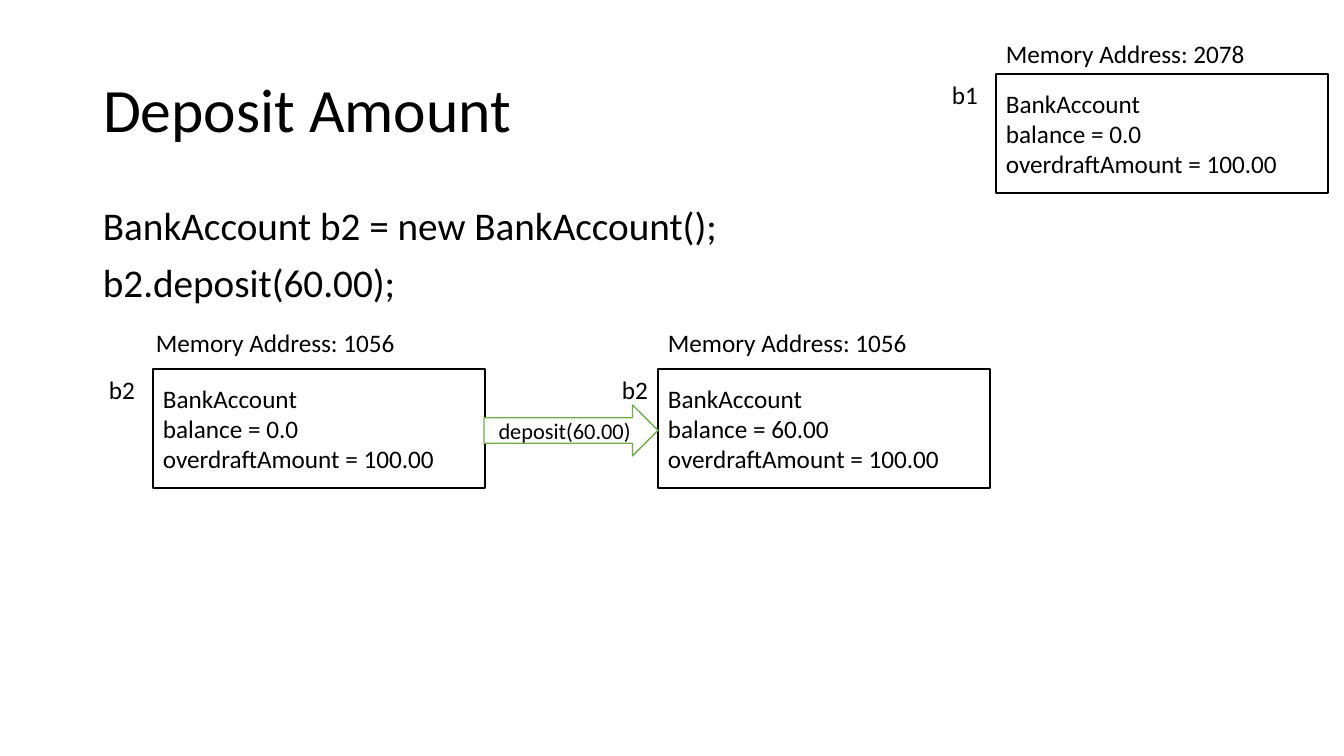
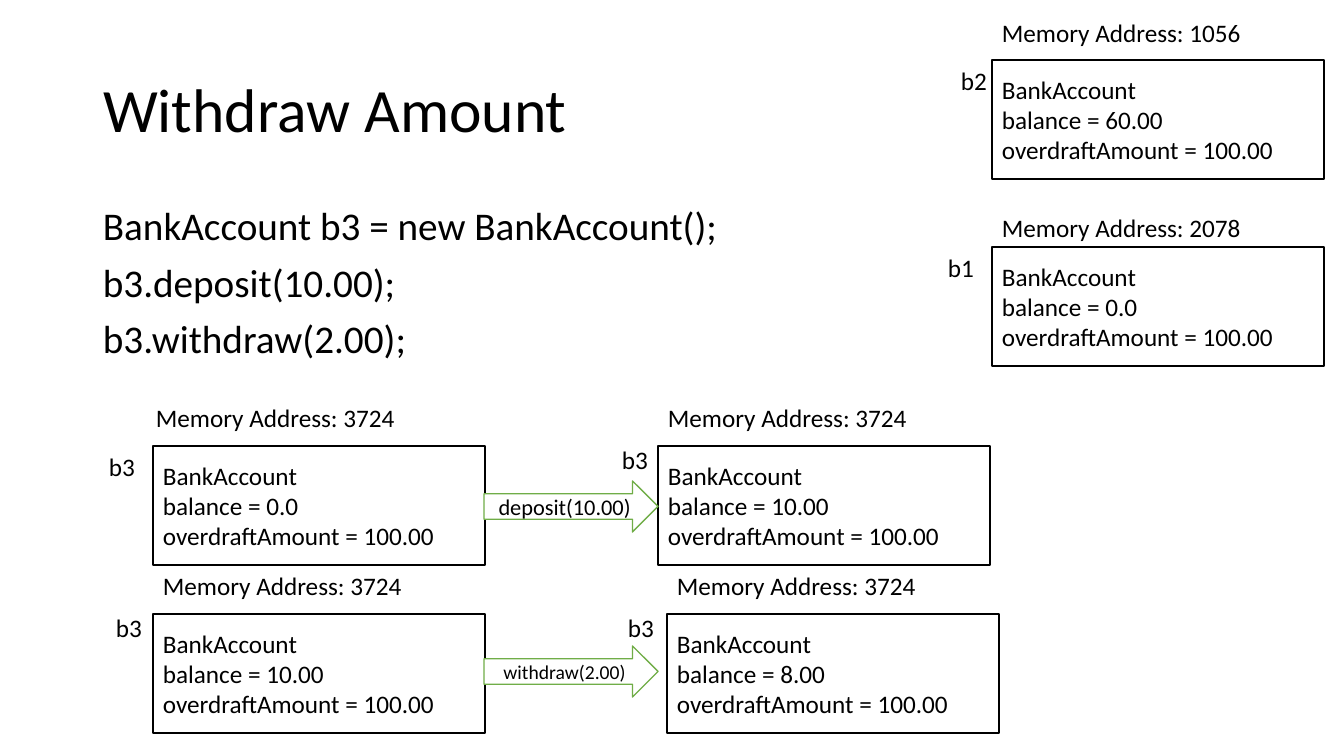
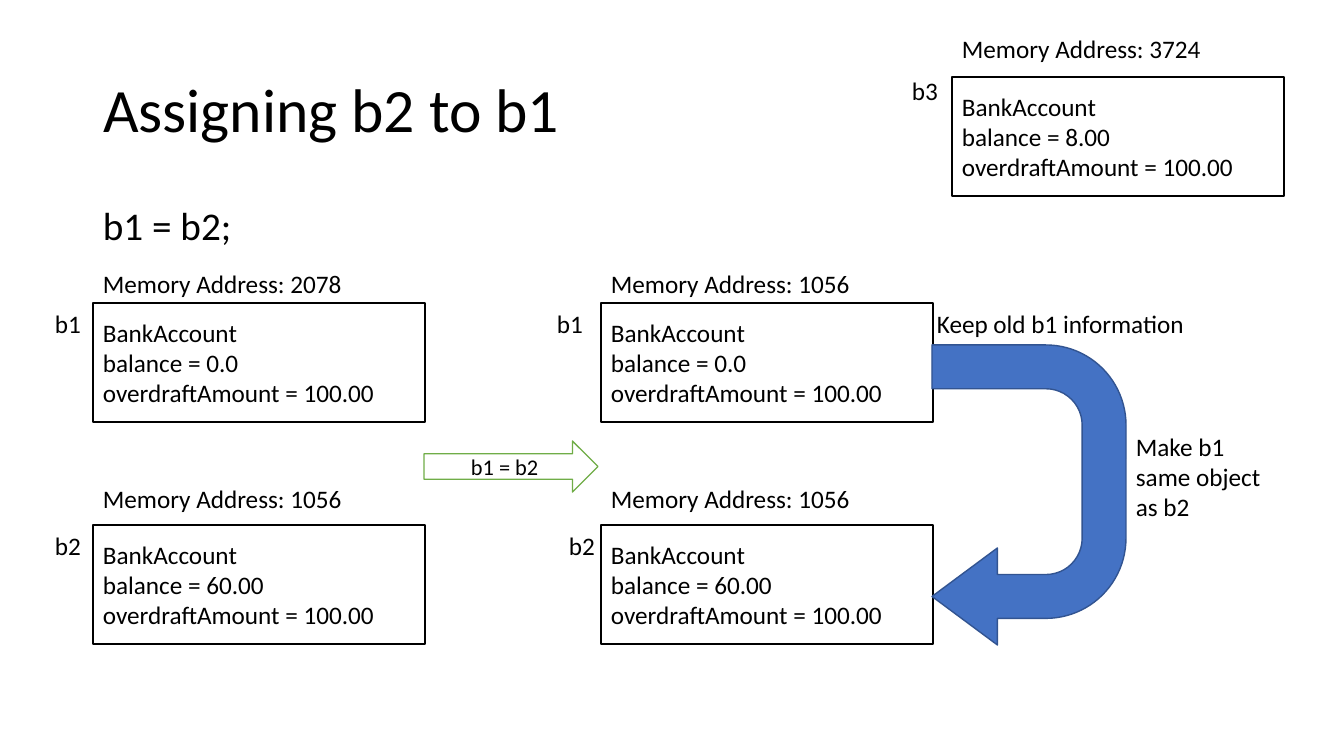
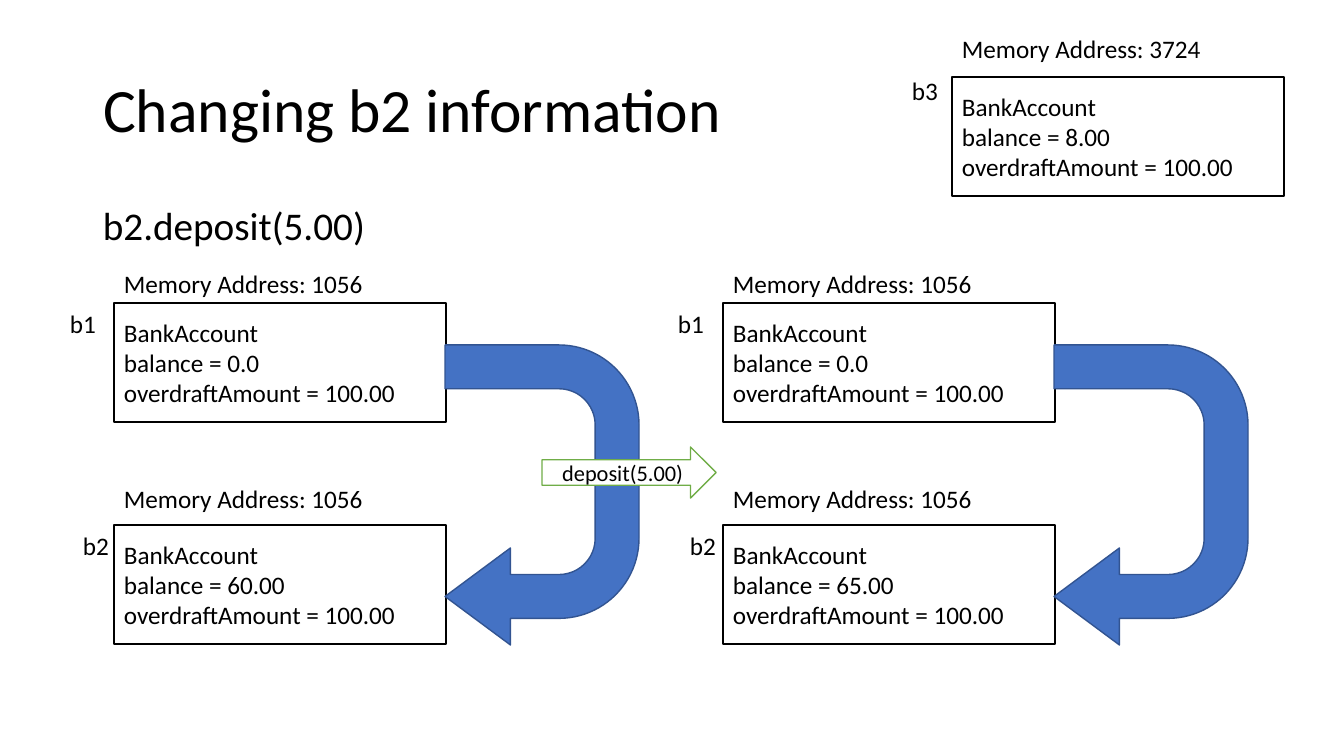
from pptx import Presentation
from pptx import util as u
from pptx.dml.color import RGBColor
from pptx.enum import shapes, text

BLACK = RGBColor(0x00, 0x00, 0x00)
WHITE = RGBColor(0xFF, 0xFF, 0xFF)
GREEN = RGBColor(0x70, 0xAD, 0x47)
BLUE = RGBColor(0x44, 0x72, 0xC4)
NAVY = RGBColor(0x32, 0x54, 0x91)
FONT = "Calibri"
PX = 914400 / 100.8
TITLE_ONLY = 5


def emu(*lengths):
    return [u.Emu(round(n * PX)) for n in lengths]


def write(sp, lines, size=18, align=text.PP_ALIGN.LEFT, anchor=text.MSO_ANCHOR.TOP,
          wrap=True, fit=text.MSO_AUTO_SIZE.NONE, spacing=None, before=None):
    tf = sp.text_frame
    tf.text = "\n".join(lines)
    tf.word_wrap = wrap
    tf.auto_size = fit
    tf.vertical_anchor = anchor
    for p in tf.paragraphs:
        p.alignment = align
        p.line_spacing = spacing
        p.space_before = before
        p.font.name = FONT
        p.font.size = u.Pt(size)
        p.font.color.rgb = BLACK


# accounts: name, address, balance, box x, y, address x, y, name x, y
# calls: label, size, x, y; turns: x, y; notes: label, wrap, x, y, width, height
b3_corner = ("b3", 3724, "8.00", 952, 77, 952, 28, 902, 70)
slides = [
    dict(
        title="Deposit Amount",
        code=["BankAccount b2 = new BankAccount();", "b2.deposit(60.00);"],
        accounts=[
            ("b2", 1056, "0.0", 153, 369, 146, 322, 99, 369),
            ("b2", 1056, "60.00", 658, 369, 658, 322, 612, 369),
            ("b1", 2078, "0.0", 996, 74, 996, 33, 942, 74),
        ],
        calls=[("deposit(60.00)", 16, 484, 405)],
        turns=[],
        notes=[],
    ),
    dict(
        title="Withdraw Amount",
        code=["BankAccount b3 = new BankAccount();", "b3.deposit(10.00);", "b3.withdraw(2.00);"],
        accounts=[
            ("b3", 3724, "0.0", 153, 446, 146, 397, 99, 446),
            ("b3", 3724, "10.00", 658, 446, 658, 397, 612, 439),
            ("b3", 3724, "10.00", 153, 614, 153, 565, 106, 607),
            ("b3", 3724, "8.00", 667, 614, 667, 565, 618, 607),
            ("b2", 1056, "60.00", 992, 60, 992, 12, 951, 60),
            ("b1", 2078, "0.0", 992, 247, 992, 207, 938, 247),
        ],
        calls=[("deposit(10.00)", 16, 484, 481), ("withdraw(2.00)", 14, 484, 646)],
        turns=[],
        notes=[],
    ),
    dict(
        title="Assigning b2 to b1",
        code=["b1 = b2;"],
        accounts=[
            ("b2", 1056, "60.00", 93, 525, 93, 478, 45, 525),
            ("b1", 2078, "0.0", 93, 303, 93, 263, 45, 303),
            ("b1", 1056, "0.0", 601, 303, 601, 263, 547, 303),
            ("b2", 1056, "60.00", 601, 525, 601, 478, 559, 525),
            b3_corner,
        ],
        calls=[("b1 = b2", 16, 424, 441)],
        turns=[(879, 398)],
        notes=[
            ("Make b1 same object as b2", True, 1126, 426, 157, 102),
            ("Keep old b1 information", False, 927, 303, 270, 40),
        ],
    ),
    dict(
        title="Changing b2 information",
        code=["b2.deposit(5.00)"],
        accounts=[
            ("b1", 1056, "0.0", 114, 303, 114, 263, 60, 303),
            ("b2", 1056, "60.00", 114, 525, 114, 478, 73, 525),
            b3_corner,
            ("b1", 1056, "0.0", 723, 303, 723, 263, 668, 303),
            ("b2", 1056, "65.00", 723, 525, 723, 478, 680, 525),
        ],
        calls=[("deposit(5.00)", 16, 542, 447)],
        turns=[(392, 398), (1001, 398)],
        notes=[],
    ),
]

prs = Presentation()
prs.slide_width, prs.slide_height = emu(1344, 756)

for page in slides:
    s = prs.slides.add_slide(prs.slide_layouts[TITLE_ONLY])
    title = s.shapes.title
    title.left, title.top, title.width, title.height = emu(93, 40, 1159, 146)
    write(title, [page["title"]], 44, anchor=text.MSO_ANCHOR.MIDDLE, spacing=0.9)

    code = s.shapes.add_textbox(*emu(93, 202, 1159, 480))
    write(code, page["code"], 28, spacing=0.9, before=u.Pt(10))

    labels = list(page["notes"])
    for name, address, balance, x, y, address_x, address_y, name_x, name_y in page["accounts"]:
        box = s.shapes.add_shape(shapes.MSO_SHAPE.RECTANGLE, *emu(x, y, 332, 119))
        box.shadow.inherit = False
        box.fill.background()
        box.line.color.rgb = BLACK
        box.line.width = u.Pt(1)
        write(box, ["BankAccount", f"balance = {balance}", "overdraftAmount = 100.00"],
              anchor=text.MSO_ANCHOR.MIDDLE)
        labels.append((f"Memory Address: {address}", False, address_x, address_y, 262, 40))
        labels.append((name, False, name_x, name_y, 46, 40))

    for x, y in page["turns"]:
        turn = s.shapes.add_shape(shapes.MSO_SHAPE.U_TURN_ARROW, *emu(x, y, 300, 194))
        turn.shadow.inherit = False
        turn.rotation = 90
        for i, value in enumerate([0.226, 0.25, 0.337, 0.413, 1]):
            turn.adjustments[i] = value
        turn.fill.solid()
        turn.fill.fore_color.rgb = BLUE
        turn.line.color.rgb = NAVY
        turn.line.width = u.Pt(1)

    for label, size, x, y in page["calls"]:
        arrow = s.shapes.add_shape(shapes.MSO_SHAPE.RIGHT_ARROW, *emu(x, y, 174, 51))
        arrow.shadow.inherit = False
        arrow.fill.solid()
        arrow.fill.fore_color.rgb = WHITE
        arrow.line.color.rgb = GREEN
        arrow.line.width = u.Pt(1)
        write(arrow, [label], size, text.PP_ALIGN.CENTER, text.MSO_ANCHOR.MIDDLE)

    for label, wrap, x, y, width, height in labels:
        sp = s.shapes.add_textbox(*emu(x, y, width, height))
        write(sp, [label], wrap=wrap, fit=text.MSO_AUTO_SIZE.SHAPE_TO_FIT_TEXT)

prs.save("out.pptx")
